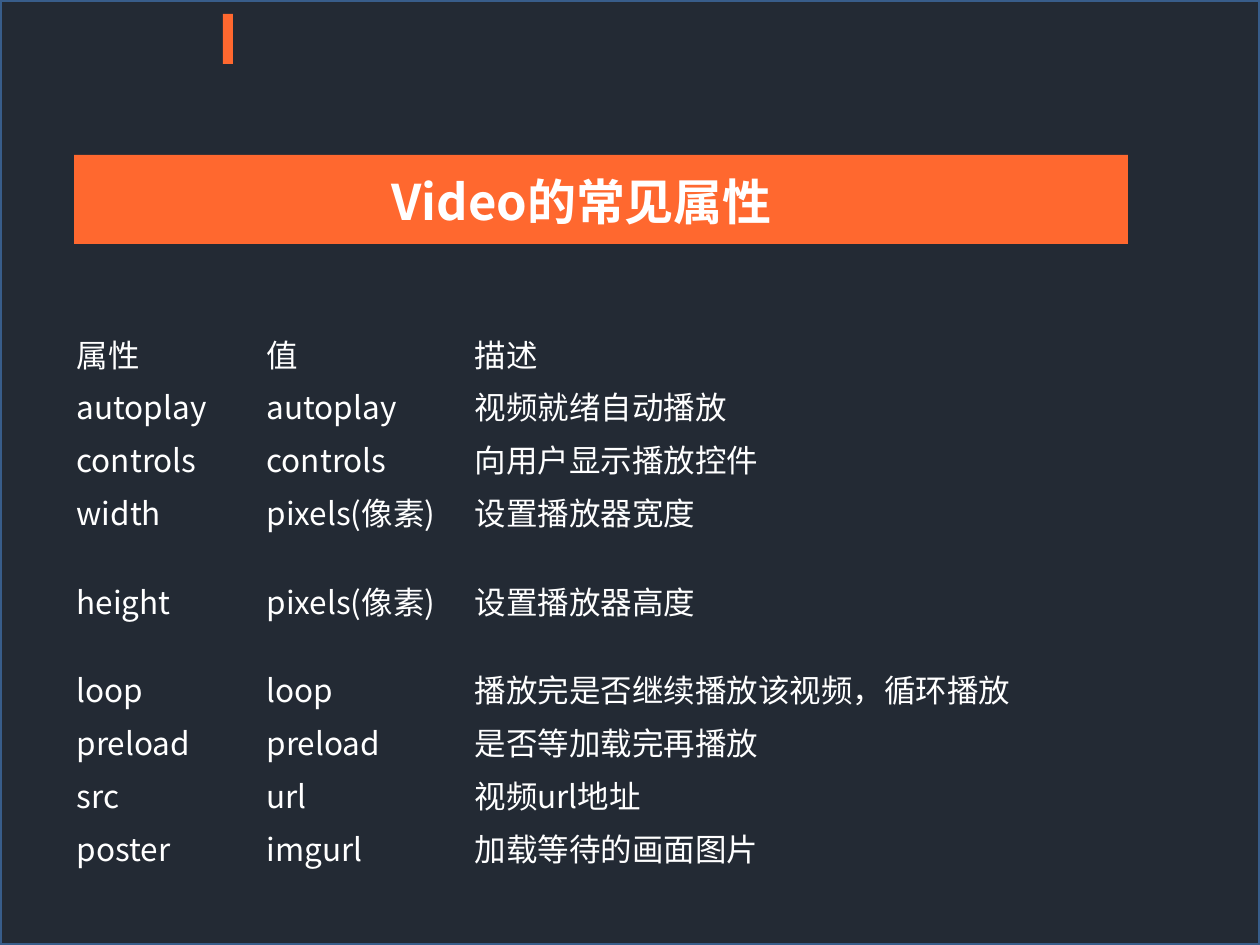
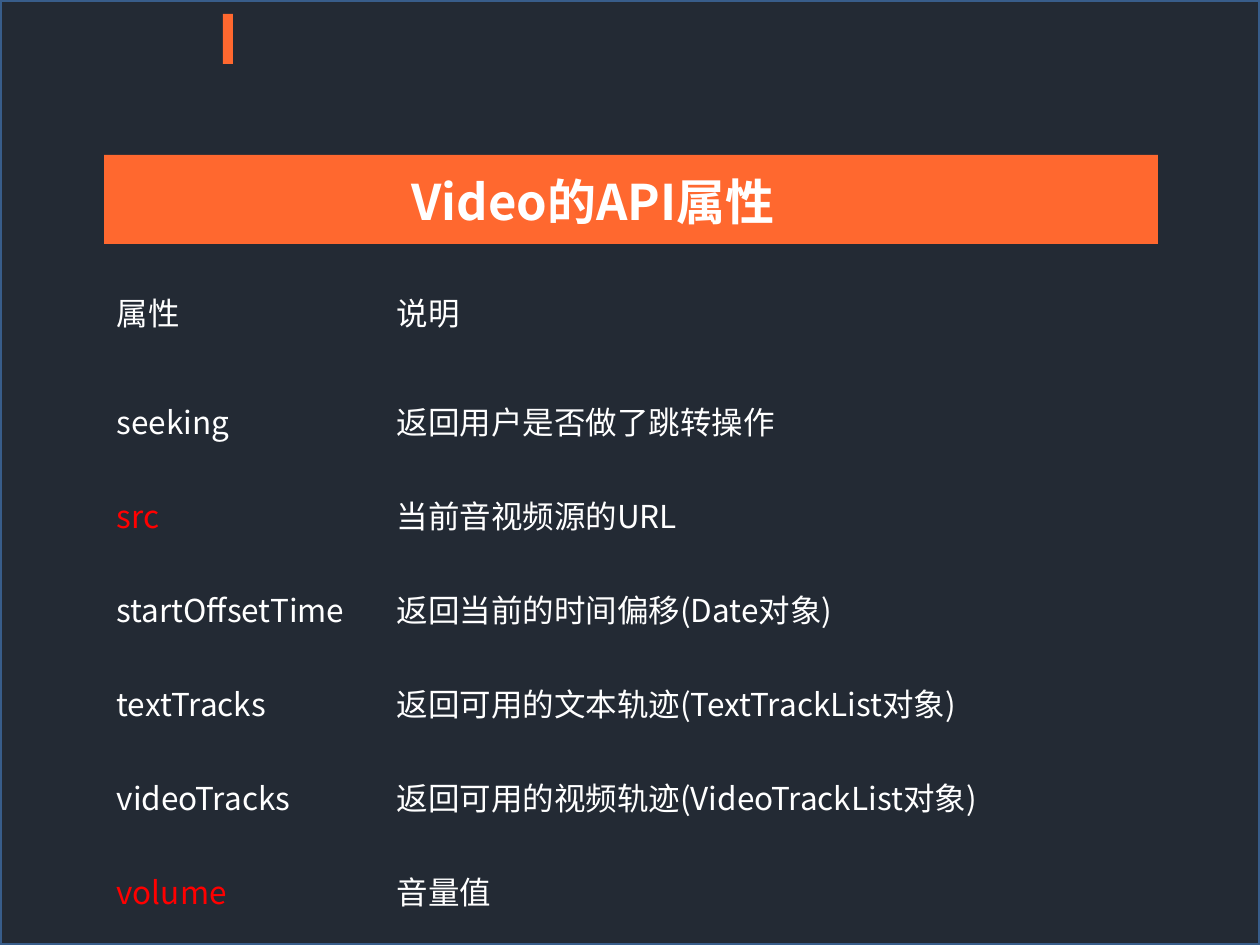
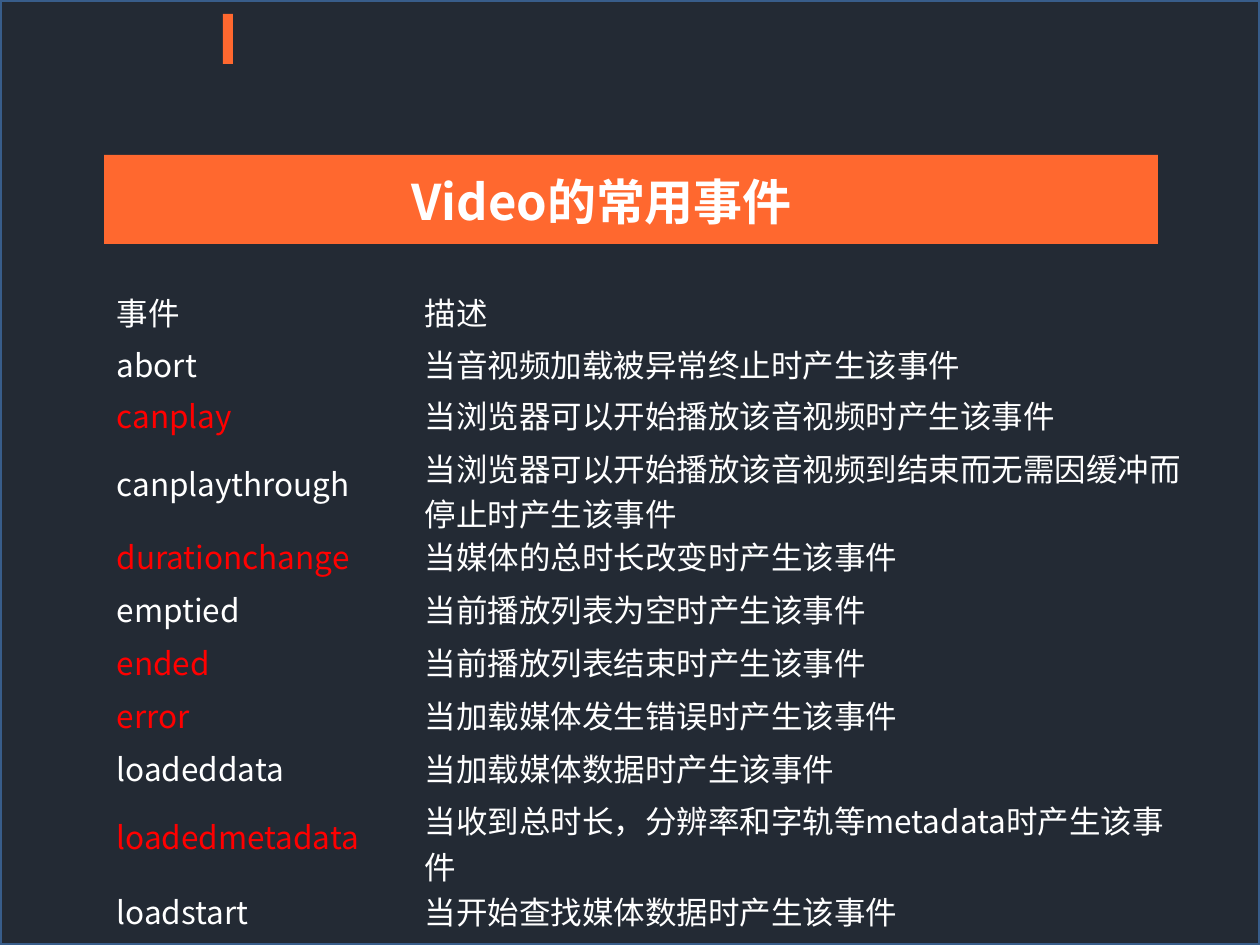
from dataclasses import dataclass

from lxml import etree
from pptx import Presentation
from pptx.dml.color import RGBColor
from pptx.enum.shapes import MSO_SHAPE
from pptx.enum.text import MSO_ANCHOR
from pptx.oxml.ns import qn
from pptx.util import Emu, Pt

RECTANGLE = MSO_SHAPE.RECTANGLE
TOP = MSO_ANCHOR.TOP
MIDDLE = MSO_ANCHOR.MIDDLE
EMU_PER_PX = 914400 / 126
SLIDE_WIDTH, SLIDE_HEIGHT = 1260, 945


@dataclass(frozen=True)
class Theme:
    """Hold the colours, font and type sizes of the deck."""

    background: RGBColor = RGBColor.from_string("232A34")
    frame: RGBColor = RGBColor.from_string("385D8A")
    accent: RGBColor = RGBColor.from_string("FF682F")
    text: RGBColor = RGBColor.from_string("FFFFFF")
    highlight: RGBColor = RGBColor.from_string("FF0000")
    font: str = "Noto Sans CJK SC"
    title_size: int = 28
    body_size: int = 18
    frame_width: int = 2


THEME = Theme()

ATTRIBUTES = [
    ("属性", "值", "描述"),
    ("autoplay", "autoplay", "视频就绪自动播放"),
    ("controls", "controls", "向用户显示播放控件"),
    ("width", "pixels(像素)", "设置播放器宽度"),
    ("height", "pixels(像素)", "设置播放器高度"),
    ("loop", "loop", "播放完是否继续播放该视频，循环播放"),
    ("preload", "preload", "是否等加载完再播放"),
    ("src", "url", "视频url地址"),
    ("poster", "imgurl", "加载等待的画面图片"),
    ("", "", ""),
]

API_PROPERTIES = [
    ("属性", "说明"),
    ("seeking", "返回用户是否做了跳转操作"),
    ("src", "当前音视频源的URL"),
    ("startOffsetTime", "返回当前的时间偏移(Date对象)"),
    ("textTracks", "返回可用的文本轨迹(TextTrackList对象)"),
    ("videoTracks", "返回可用的视频轨迹(VideoTrackList对象)"),
    ("volume", "音量值"),
]

EVENTS = [
    ("事件", "描述"),
    ("abort", "当音视频加载被异常终止时产生该事件"),
    ("canplay", "当浏览器可以开始播放该音视频时产生该事件"),
    ("canplaythrough", "当浏览器可以开始播放该音视频到结束而无需因缓冲而停止时产生该事件"),
    ("durationchange", "当媒体的总时长改变时产生该事件"),
    ("emptied", "当前播放列表为空时产生该事件"),
    ("ended", "当前播放列表结束时产生该事件"),
    ("error", "当加载媒体发生错误时产生该事件"),
    ("loadeddata", "当加载媒体数据时产生该事件"),
    ("loadedmetadata", "当收到总时长，分辨率和字轨等metadata时产生该事件"),
    ("loadstart", "当开始查找媒体数据时产生该事件"),
]


def px(length):
    """Turn a length in px into EMU."""
    return Emu(round(length * EMU_PER_PX))


def box(*lengths):
    """Turn left, top, width and height in px into EMU."""
    return [px(length) for length in lengths]


def style_text(text_frame, size, color, bold=False):
    """Format every run, for Latin and East Asian letters alike."""
    for paragraph in text_frame.paragraphs:
        for run in paragraph.runs:
            run.font.name = THEME.font
            run.font.size = Pt(size)
            run.font.bold = bold
            run.font.color.rgb = color
            east_asian = etree.Element(qn("a:ea"), typeface=THEME.font)
            run.font._element.find(qn("a:latin")).addnext(east_asian)


def add_rectangle(slide, bounds, fill, line=None):
    """Add a flat rectangle, outlined only if a line colour is given."""
    shape = slide.shapes.add_shape(RECTANGLE, *box(*bounds))
    shape.shadow.inherit = False
    shape.fill.solid()
    shape.fill.fore_color.rgb = fill
    if line is None:
        shape.line.fill.background()
    else:
        shape.line.color.rgb = line
        shape.line.width = Pt(THEME.frame_width)


def add_base_slide(presentation):
    """Add a slide with the framed dark background and the top marker."""
    slide = presentation.slides.add_slide(presentation.slide_layouts[6])
    add_rectangle(slide, (0, 0, SLIDE_WIDTH, SLIDE_HEIGHT), THEME.background, THEME.frame)
    add_rectangle(slide, (223, 14, 10, 50), THEME.accent)
    return slide


def add_title_band(slide, title, band_left, title_left):
    """Add the title on its accent band."""
    add_rectangle(slide, (band_left, 155, 1054, 89), THEME.accent)
    text_box = slide.shapes.add_textbox(*box(title_left, 165, 576, 72))
    text_box.text_frame.word_wrap = True
    text_box.text_frame.text = title
    style_text(text_box.text_frame, THEME.title_size, THEME.text, bold=True)


def add_plain_table(slide, position, rows, widths, heights, anchors, highlights=()):
    """Add an unfilled table whose highlighted first-column terms are red."""
    frame = slide.shapes.add_table(
        len(rows), len(widths), *box(*position, sum(widths), sum(heights)))
    table = frame.table
    table.first_row = table.horz_banding = False
    for column, width in zip(table.columns, widths):
        column.width = px(width)
    for row, height, anchor, values in zip(table.rows, heights, anchors, rows):
        row.height = px(height)
        for cell, value in zip(row.cells, values):
            cell.fill.background()
            cell.vertical_anchor = anchor
            cell.text_frame.text = value
            color = THEME.highlight if value in highlights else THEME.text
            style_text(cell.text_frame, THEME.body_size, color)
    properties = table._tbl.tblPr
    properties.find(qn("a:tableStyleId")).text = "{2D5ABB26-0587-4C30-8999-92F81FD0307C}"


def main():
    """Build the three slides and save them."""
    presentation = Presentation()
    presentation.slide_width = px(SLIDE_WIDTH)
    presentation.slide_height = px(SLIDE_HEIGHT)

    slide = add_base_slide(presentation)
    add_title_band(slide, "Video的常见属性", 74, 379)
    add_plain_table(slide, (64, 325), ATTRIBUTES, (190, 208, 736),
                    [52] + [53] * 7 + [50, 88], [TOP] * 10)

    slide = add_base_slide(presentation)
    add_title_band(slide, "Video的API属性", 104, 399)
    add_plain_table(slide, (104, 283), API_PROPERTIES, (280, 775),
                    [91] + [94] * 6, [TOP] + [MIDDLE] * 6, {"src", "volume"})

    slide = add_base_slide(presentation)
    add_title_band(slide, "Video的常用事件", 104, 399)
    add_plain_table(slide, (104, 283), EVENTS, (308, 784),
                    [52, 50, 53, 88, 53, 53, 53, 53, 52, 91, 52], [MIDDLE] * 11,
                    {"canplay", "durationchange", "ended", "error", "loadedmetadata"})

    presentation.save("out.pptx")


if __name__ == "__main__":
    main()
